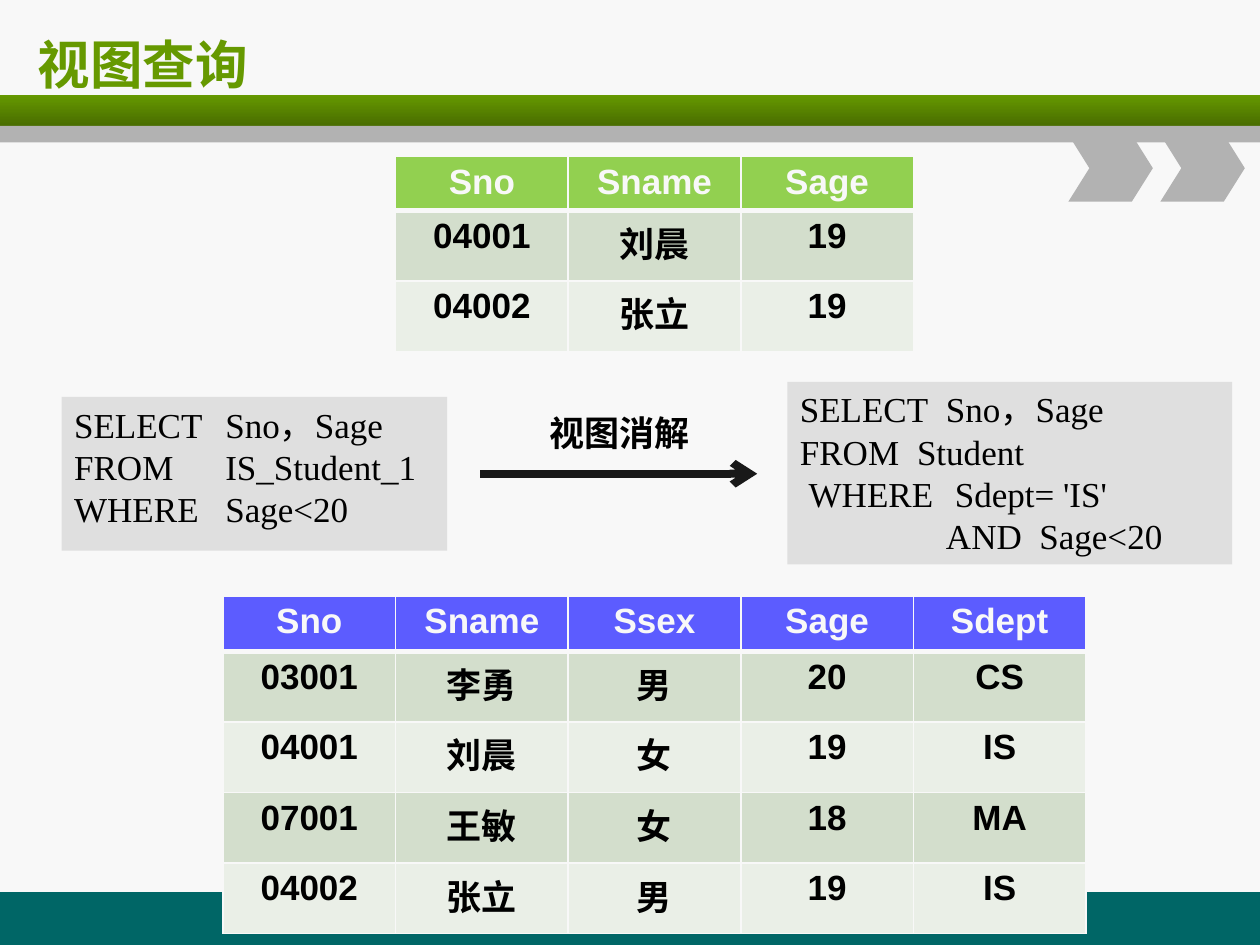
from lxml import etree
from pptx import Presentation
from pptx import util as u
from pptx.dml.color import RGBColor
from pptx.enum import shapes, text
from pptx.oxml import ns

PAPER = RGBColor(0xF8, 0xF8, 0xF8)
TEAL = RGBColor(0x00, 0x66, 0x66)
GREEN = RGBColor(0x66, 0x99, 0x00)
DARK_GREEN = RGBColor(0x49, 0x6D, 0x00)
GREY = RGBColor(0xB2, 0xB2, 0xB2)
CODE_GREY = RGBColor(0xDF, 0xDF, 0xDF)
INK = RGBColor(0x19, 0x19, 0x19)
BLACK = RGBColor(0x00, 0x00, 0x00)
VIEW_HEAD = RGBColor(0x92, 0xD0, 0x50)
BASE_HEAD = RGBColor(0x5C, 0x5C, 0xFF)
ROW_FILLS = RGBColor(0xD3, 0xDE, 0xCC), RGBColor(0xEA, 0xEF, 0xE7)


def inches(*lengths):
    return [u.Inches(length) for length in lengths]


def add_xml(parent, tag, **attributes):
    return etree.SubElement(parent, ns.qn(tag), attributes)


class SlideBuilder:
    code_font = "Times New Roman"
    table_font = "Arial"
    label_font = "Noto Sans CJK SC"
    title_font = "DejaVu Sans"
    size = 20

    def __init__(self, slide):
        self.slide = slide
        background = slide.background.fill
        background.solid()
        background.fore_color.rgb = PAPER

    def style(self, paragraph, name, color=BLACK, size=size, bold=False):
        font = paragraph.font
        font.name, font.size, font.bold = name, u.Pt(size), bold
        font.color.rgb = color

    def title(self, wording, box):
        title = self.slide.shapes.title
        title.left, title.top, title.width, title.height = inches(*box)
        frame = title.text_frame
        frame.text = wording
        frame.vertical_anchor = text.MSO_ANCHOR.MIDDLE
        paragraph = frame.paragraphs[0]
        paragraph.alignment = text.PP_ALIGN.LEFT
        self.style(paragraph, self.title_font, GREEN, 30, True)

    def shape(self, kind, box, color):
        shape = self.slide.shapes.add_shape(kind, *inches(*box))
        shape.shadow.inherit = False
        shape.line.fill.background()
        shape.fill.solid()
        shape.fill.fore_color.rgb = color
        return shape

    def bar(self, box, color):
        return self.shape(shapes.MSO_SHAPE.RECTANGLE, box, color)

    def gradient_bar(self, box, top_color, bottom_color):
        fill = self.bar(box, top_color).fill
        fill.gradient()
        fill.gradient_angle = 270
        for stop, color in zip(fill.gradient_stops, (top_color, bottom_color)):
            stop.color.rgb = color

    def chevron(self, box):
        chevron = self.shape(shapes.MSO_SHAPE.CHEVRON, box, GREY)
        chevron.adjustments[0] = 0.314

    def code(self, box, lines):
        """Each line is its wording, its tab stop and its left indent in inches."""
        frame = self.bar(box, CODE_GREY).text_frame
        frame.word_wrap = True
        frame.vertical_anchor = text.MSO_ANCHOR.TOP
        for index, (wording, stop, indent) in enumerate(lines):
            paragraph = frame.add_paragraph() if index else frame.paragraphs[0]
            paragraph.text = wording
            paragraph.alignment = text.PP_ALIGN.LEFT
            self.style(paragraph, self.code_font)
            properties = paragraph._p.get_or_add_pPr()
            properties.set("marL", str(u.Inches(indent)))
            tabs = etree.Element(ns.qn("a:tabLst"))
            add_xml(tabs, "a:tab", pos=str(u.Inches(stop)), algn="l")
            properties.find(ns.qn("a:defRPr")).addprevious(tabs)

    def label(self, wording, box):
        frame = self.slide.shapes.add_textbox(*inches(*box)).text_frame
        frame.word_wrap = False
        frame.text = wording
        paragraph = frame.paragraphs[0]
        paragraph.alignment = text.PP_ALIGN.RIGHT
        self.style(paragraph, self.label_font, bold=True)

    def arrow(self, start, end):
        arrow = self.slide.shapes.add_connector(
            shapes.MSO_CONNECTOR.STRAIGHT, *inches(*start, *end))
        arrow.line.color.rgb = INK
        arrow.line.width = u.Pt(4.5)
        add_xml(arrow.line._get_or_add_ln(), "a:tailEnd", type="arrow")
        add_xml(arrow._element.spPr, "a:effectLst")

    def borders(self, cell, widths):
        properties = cell._tc.get_or_add_tcPr()
        for side, width in zip("LRTB", widths):
            line = add_xml(properties, f"a:ln{side}", w=str(u.Pt(width)))
            add_xml(add_xml(line, "a:solidFill"), "a:srgbClr", val=str(PAPER))

    def table(self, left, top, head_height, head_color, rows):
        column_width, row_height = 1.37, 0.56
        height = head_height + row_height * (len(rows) - 1)
        table = self.slide.shapes.add_table(
            len(rows), len(rows[0]),
            *inches(left, top, column_width * len(rows[0]), height)).table
        for r, values in enumerate(rows):
            table.rows[r].height = u.Inches(row_height if r else head_height)
            for c, value in enumerate(values):
                cell = table.cell(r, c)
                cell.text = value
                paragraph = cell.text_frame.paragraphs[0]
                paragraph.alignment = text.PP_ALIGN.CENTER
                self.style(paragraph, self.table_font,
                           BLACK if r else PAPER, bold=True)
                self.borders(cell, (1, 1, 3 if r == 1 else 1, 1 if r else 3))
                cell.fill.solid()
                cell.fill.fore_color.rgb = (
                    ROW_FILLS[(r - 1) % 2] if r else head_color)


def main():
    deck = Presentation()
    deck.slide_width, deck.slide_height = inches(10, 7.5)
    title_only = deck.slide_layouts[5]
    page = SlideBuilder(deck.slides.add_slide(title_only))

    page.bar((0, 7.08, 10, 0.42), TEAL)
    page.gradient_bar((0, 0.75, 10, 0.25), GREEN, DARK_GREEN)
    page.bar((0, 1, 10, 0.13), GREY)
    for left in (8.48, 9.21):
        page.chevron((left, 1.07, 0.67, 0.53))
    page.title("视图查询", (0.2, 0.17, 9.55, 0.67))

    page.table(1.77, 4.73, 0.44, BASE_HEAD, [
        ("Sno", "Sname", "Ssex", "Sage", "Sdept"),
        ("03001", "李勇", "男", "20", "CS"),
        ("04001", "刘晨", "女", "19", "IS"),
        ("07001", "王敏", "女", "18", "MA"),
        ("04002", "张立", "男", "19", "IS"),
    ])
    page.table(3.14, 1.24, 0.43, VIEW_HEAD, [
        ("Sno", "Sname", "Sage"),
        ("04001", "刘晨", "19"),
        ("04002", "张立", "19"),
    ])

    page.code((0.49, 3.15, 3.06, 1.22), [
        ("SELECT\tSno，Sage", 1.2, 0),
        ("FROM\tIS_Student_1", 1.2, 0),
        ("WHERE\tSage<20", 1.2, 0),
    ])
    page.code((6.25, 3.03, 3.53, 1.45), [
        ("SELECT\tSno，Sage", 1.16, 0),
        ("FROM\tStudent", 0.93, 0),
        ("WHERE\tSdept= 'IS'", 1.16, 0.07),
        ("AND  Sage<20", 1.16, 1.16),
    ])
    page.arrow((3.81, 3.76), (6.01, 3.76))
    page.label("视图消解", (4.25, 3.22, 1.32, 0.44))

    deck.save("out.pptx")


if __name__ == "__main__":
    main()
